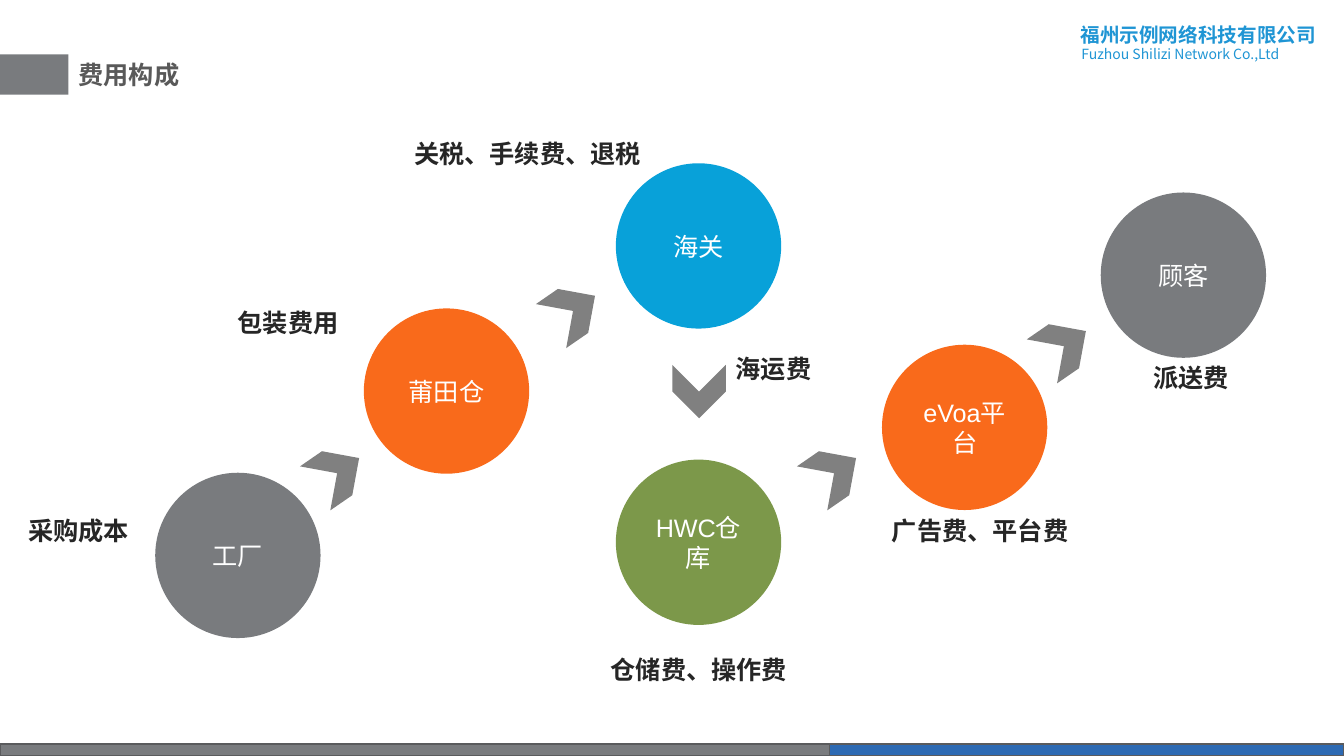
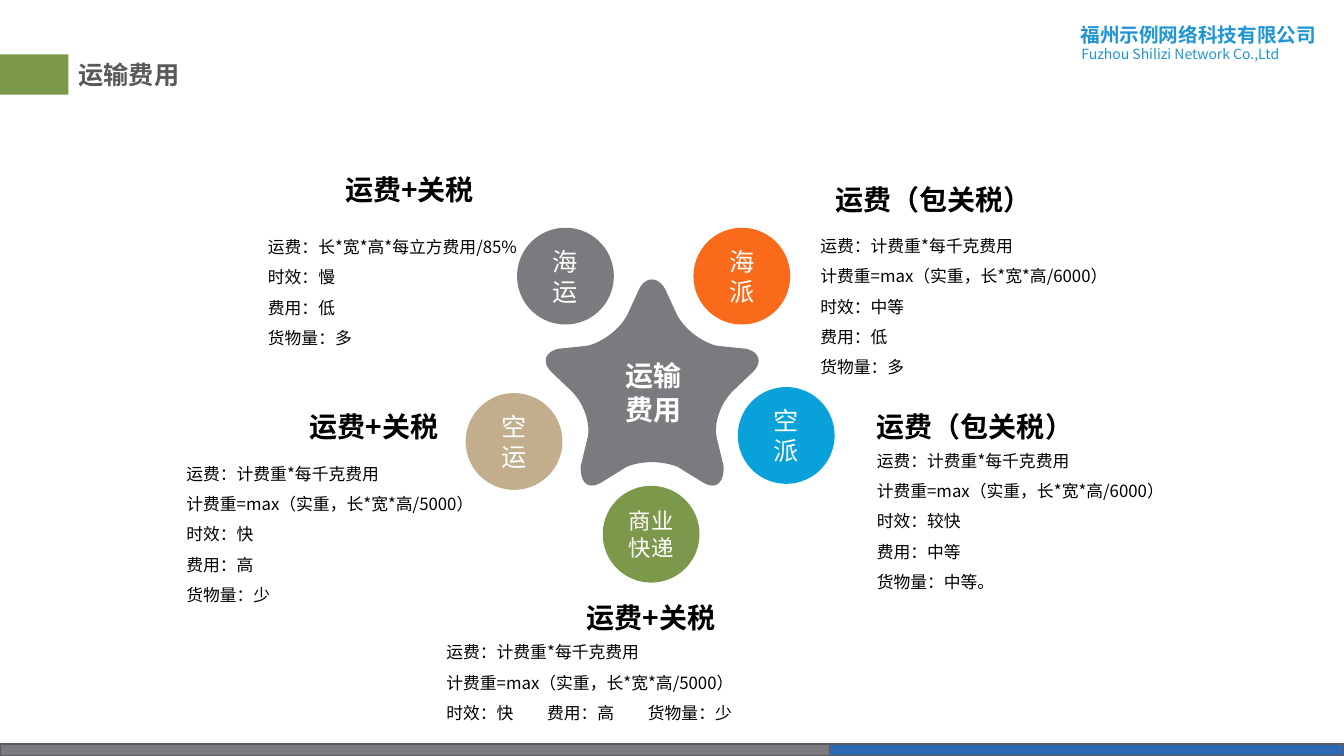
import pptx
import pptx.dml.color
import pptx.enum.shapes
import pptx.enum.text
import pptx.oxml.ns
import pptx.util

SHAPE = pptx.enum.shapes.MSO_SHAPE
ALIGN = pptx.enum.text.PP_ALIGN
ANCHOR = pptx.enum.text.MSO_ANCHOR
AUTO_SIZE = pptx.enum.text.MSO_AUTO_SIZE

COLORS = {
    "gray": "797B7E", "orange": "F96A1B", "blue": "08A1D9", "green": "7C984A",
    "tan": "C2AD8D", "arrow": "808080", "footer": "2D6AB3", "edge": "5A5B5D",
    "company": "1F95D4", "title": "595959", "label": "262626",
    "black": "000000", "white": "FFFFFF",
}
SANS = "Arial"
HAN = "Noto Sans CJK SC"

# The grid has ten columns and ten rows to the inch
COLUMNS, ROWS = 133.33, 75
CELL = pptx.util.Inches(0.1)


def cells(*lengths):
    return [round(length * CELL) for length in lengths]


def color(name):
    return pptx.dml.color.RGBColor.from_string(COLORS[name])


def write(frame, text, size=18, font=SANS, ink="label", bold=False,
          align=ALIGN.LEFT, spacing=None):
    """Fill a text frame, one paragraph for each line of text."""
    for index, line in enumerate(text.split("\n")):
        para = frame.add_paragraph() if index else frame.paragraphs[0]
        para.alignment = align
        para.line_spacing = spacing
        span = para.add_run()
        span.text = line
        span.font.size = pptx.util.Pt(size)
        span.font.name = font
        span.font.bold = bold
        span.font.color.rgb = color(ink)
        east_asian = span.font._element.makeelement(
            pptx.oxml.ns.qn("a:ea"), {"typeface": font})
        span.font._element.find(pptx.oxml.ns.qn("a:latin")).addnext(east_asian)


def bezier(start, first, second, end, steps=12):
    """Points along a cubic curve."""
    for step in range(steps + 1):
        t = step / steps
        weights = ((1 - t) ** 3, 3 * t * (1 - t) ** 2, 3 * t * t * (1 - t), t ** 3)
        yield tuple(sum(weight * point[axis] for weight, point
                        in zip(weights, (start, first, second, end)))
                    for axis in (0, 1))


class Builder:
    """Holds the deck, its style and the current page."""

    def __init__(self):
        self.deck = pptx.Presentation()
        self.deck.slide_width, self.deck.slide_height = cells(COLUMNS, ROWS)
        self.page = None

    def start_page(self, title, accent):
        self.page = self.deck.slides.add_slide(self.deck.slide_layouts[6])
        # Footer band
        split, height = 82.3, 1.2
        self.shape(SHAPE.RECTANGLE, 0, ROWS - height, split, height, "gray", edge="edge")
        self.shape(SHAPE.RECTANGLE, split, ROWS - height, COLUMNS - split, height,
                   "footer", edge="edge")
        # Company name
        self.text("福州示例网络科技有限公司", 106.2, 1.8, 26.7, 3.4, size=14,
                  font=HAN, ink="company", bold=True, align=ALIGN.JUSTIFY)
        self.text("Fuzhou Shilizi Network Co.,Ltd", 106.3, 4, 26.6, 2.7, size=10,
                  font=HAN, ink="company", align=ALIGN.JUSTIFY)
        # Title
        self.shape(SHAPE.RECTANGLE, 0, 5.4, 6.8, 4, accent)
        self.text(title, 6.8, 5.4, 12, 4, wrap=False, ink="title", bold=True,
                  align=ALIGN.CENTER)

    def paint(self, shape, fill, edge=None):
        shape.shadow.inherit = False
        shape.fill.solid()
        shape.fill.fore_color.rgb = color(fill)
        if edge:
            shape.line.color.rgb = color(edge)
            shape.line.width = pptx.util.Pt(1)
        else:
            shape.line.fill.background()

    def shape(self, kind, left, top, width, height, fill, edge=None):
        shape = self.page.shapes.add_shape(kind, *cells(left, top, width, height))
        self.paint(shape, fill, edge)
        return shape

    def circle(self, text, left, top, diameter, fill, size=18):
        circle = self.shape(SHAPE.OVAL, left, top, diameter, diameter, fill)
        frame = circle.text_frame
        frame.word_wrap = True
        frame.vertical_anchor = ANCHOR.MIDDLE
        write(frame, text, size=size, ink="white", align=ALIGN.CENTER)

    def chevron(self, left, top, rotation=325.4):
        arrow = self.shape(SHAPE.CHEVRON, left, top, 5.3, 5.3, "arrow")
        arrow.rotation = rotation

    def text(self, text, left, top, width, height, wrap=True, **style):
        box = self.page.shapes.add_textbox(*cells(left, top, width, height))
        box.text_frame.word_wrap = wrap
        box.text_frame.auto_size = AUTO_SIZE.SHAPE_TO_FIT_TEXT
        write(box.text_frame, text, **style)

    def outline(self, points, fill):
        start, *rest = [tuple(cells(*point)) for point in points]
        pen = self.page.shapes.build_freeform(*start)
        pen.add_line_segments(rest, close=True)
        self.paint(pen.convert_to_shape(), fill)


def rounded_star():
    """Curves of the right half, then their mirror images."""
    middle = 64.7
    tip = ((63.4, 28.7), (64, 27.4), (65.3, 27.4), (66, 28.7))
    right = [
        ((67.2, 31.3), (67.9, 32.6), (69.5, 33.9), (71.1, 34.3)),
        ((74, 34.6), (75.3, 34.9), (75.7, 35.9), (74.7, 36.9)),
        ((72.7, 38.8), (71.4, 40.1), (70.8, 42.1), (71.1, 43.4)),
        ((71.8, 46.3), (71.8, 47.9), (71.1, 48.6), (69.8, 47.9)),
    ]
    bottom = ((67.2, 46.3), (65.6, 45.7), (63.7, 45.7), (62.2, 46.3))
    left = [[(2 * middle - x, y) for x, y in reversed(curve)]
            for curve in reversed(right)]
    return [point for curve in [tip, *right, bottom, *left]
            for point in bezier(*curve)]


def cost_page(builder):
    builder.start_page("费用构成", "gray")

    # Stations from factory to customer
    for name, left, top, fill in (
            ("工厂", 15.4, 46.9, "gray"), ("莆田仓", 36.1, 30.6, "orange"),
            ("海关", 61.1, 16.2, "blue"), ("HWC仓库", 61.1, 45.6, "green"),
            ("eVoa平台", 87.5, 34.2, "orange"), ("顾客", 109.2, 19.1, "gray")):
        builder.circle(name, left, top, 16.4, fill)

    # Arrows between stations
    for left, top in ((30.8, 44.3), (54.2, 28.2), (80.1, 44.3), (102.9, 31.7)):
        builder.chevron(left, top)
    builder.chevron(66.7, 36.2, rotation=90)

    # Costs at each step
    for cost, left, top in (
            ("采购成本", 1.8, 50.6), ("包装费用", 22.6, 30),
            ("关税、手续费、退税", 40.1, 13.2), ("海运费", 72, 34.6),
            ("仓储费、操作费", 59.6, 64.4), ("广告费、平台费", 87.5, 50.6),
            ("派送费", 113.4, 35.5)):
        builder.text(cost, left, top, 2 + 2.5 * len(cost), 4, wrap=False, bold=True)


def freight_page(builder):
    builder.start_page("运输费用", "green")
    builder.outline(rounded_star(), "gray")
    builder.text("运输费用", 61.1, 35.1, 9.7, 7.7, size=20, font=HAN,
                 ink="white", bold=True)

    # Ways of shipping around the star
    for name, left, top, fill, size in (
            ("海运", 51.3, 22.6, "gray", 18), ("海派", 68.8, 22.6, "orange", 18),
            ("空运", 46.2, 39, "tan", 18), ("空派", 73.2, 38.4, "blue", 18),
            ("商业快递", 59.8, 48.2, "green", 16)):
        builder.circle(name, left, top, 9.6, fill, size=size)

    # Headings
    plus, included = "运费+关税", "运费（包关税）"
    for heading, left, top, align in (
            (plus, 20.4, 15, ALIGN.RIGHT), (included, 81.9, 15.9, ALIGN.LEFT),
            (plus, 16.9, 38.5, ALIGN.RIGHT), (included, 86, 38.5, ALIGN.LEFT),
            (plus, 50.8, 57.4, ALIGN.CENTER)):
        builder.text(heading, left, top, 27.6, 6, size=20, font=HAN, ink="black",
                     bold=True, align=align, spacing=1.5)

    # Details: price formula, then speed, cost and volume
    by_weight = "运费：计费重*每千克费用\n计费重=max（实重，长*宽*高/{}）"
    by_volume = "运费：长*宽*高*每立方费用/85%"
    for formula, traits, divider, left, top, width, height in (
            (by_volume, ("慢", "低", "多"), "\n", 25.6, 22, 28, 13.1),
            (by_weight.format(6000), ("中等", "低", "多"), "\n", 80.4, 21.9, 41, 16.1),
            (by_weight.format(5000), ("快", "高", "少"), "\n", 17.5, 44.5, 34.8, 16.1),
            (by_weight.format(6000), ("较快", "中等", "中等。"), "\n", 86, 43.2, 34.4, 16.1),
            (by_weight.format(5000), ("快", "高", "少"), "\t", 43.3, 62.2, 42.7, 10.1)):
        summary = divider.join(f"{name}：{trait}" for name, trait
                               in zip(("时效", "费用", "货物量"), traits))
        builder.text(f"{formula}\n{summary}", left, top, width, height, size=12,
                     font=HAN, ink="black", spacing=1.5)


def main():
    builder = Builder()
    cost_page(builder)
    freight_page(builder)
    builder.deck.save("out.pptx")


if __name__ == "__main__":
    main()
